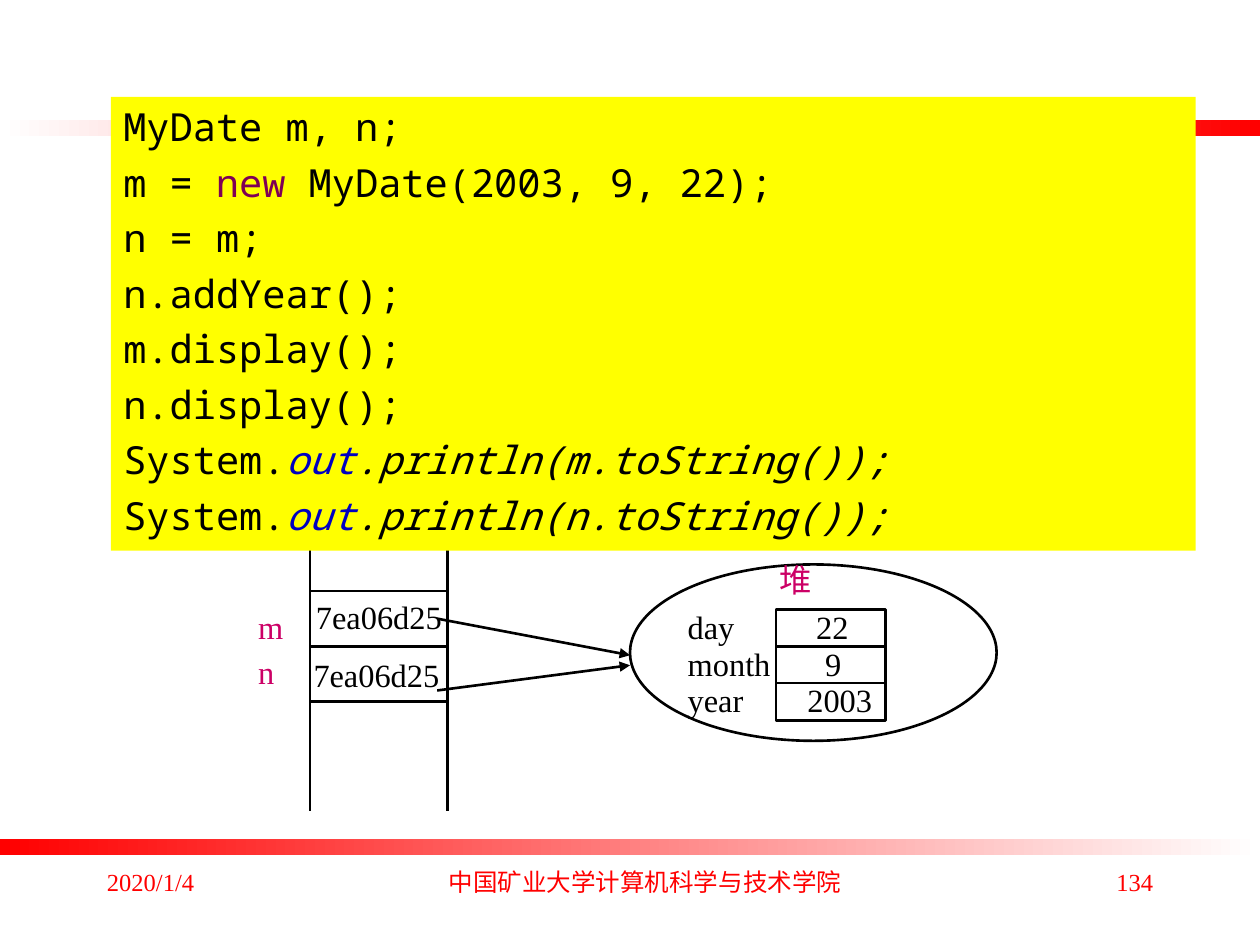
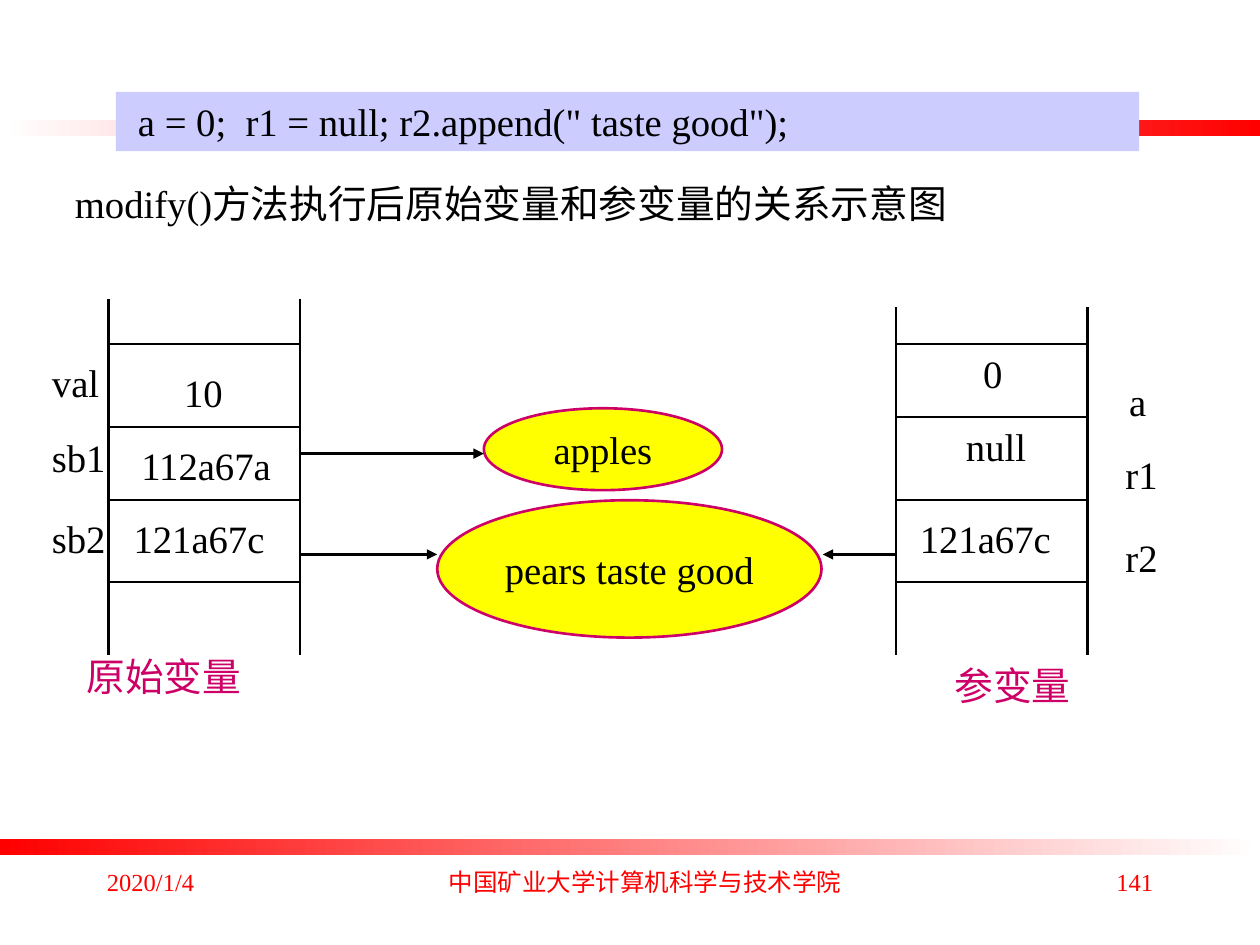
from lxml.etree import SubElement
from pptx import Presentation
from pptx.dml.color import RGBColor
from pptx.enum.shapes import MSO_CONNECTOR as Line, MSO_SHAPE as Shape
from pptx.enum.text import MSO_ANCHOR as Anchor, PP_ALIGN as Align
from pptx.oxml.ns import qn
from pptx.util import Inches, Pt

# Shared style; the grid has 100 columns and 75 rows
COLUMNS, ROWS = 100, 75
WHITE, BLACK, RED = "FFFFFF", "000000", "FF0000"
YELLOW, LILAC, MAGENTA = "FFFF00", "CCCCFF", "CC0066"
KEYWORD, FIELD = "7F0055", "0000C0"
SERIF, MONO, CHINESE = "Times New Roman", "Noto Sans Mono", "Noto Sans CJK SC"
LARGE, MEDIUM, SMALL = 22.1, 18.5, 14


def color(value):
    return RGBColor.from_string(value)


class Page:
    def __init__(self, deck, number):
        self.slide = deck.slides.add_slide(deck.slide_layouts[6])
        self.column = deck.slide_width / COLUMNS
        self.row = deck.slide_height / ROWS
        self.band(9.5, WHITE, RED)
        self.band(66.6, RED, WHITE)
        self.footer(number)

    def place(self, left, top, width, height):
        return (round(left * self.column), round(top * self.row),
                round(width * self.column), round(height * self.row))

    def band(self, top, start, end):
        bar = self.slide.shapes.add_shape(Shape.RECTANGLE, *self.place(0, top, COLUMNS, 1.3))
        bar.shadow.inherit = False
        bar.line.fill.background()
        bar.fill.gradient()
        bar.fill.gradient_angle = 0
        for stop, value in zip(bar.fill.gradient_stops, (start, end)):
            stop.color.rgb = color(value)

    def footer(self, number):
        style = dict(size=SMALL, ink=RED)
        self.label("2020/1/4", 7.5, 68.3, 20.8, 5, **style)
        self.label("中国矿业大学计算机科学与技术学院", 34.2, 68.3, 34, 5,
                   align=Align.CENTER, font=CHINESE, **style)
        self.label(number, 71.7, 68.3, 20.8, 5, align=Align.RIGHT, **style)

    def add_lines(self, box, lines, size=LARGE, ink=BLACK, font=SERIF,
                  align=Align.LEFT, anchor=Anchor.TOP, wrap=True):
        """Each line is a list of (text, ink, italic) spans, or plain text."""
        frame = box.text_frame
        frame.word_wrap = wrap
        frame.vertical_anchor = anchor
        for index, line in enumerate(lines):
            para = frame.add_paragraph() if index else frame.paragraphs[0]
            para.alignment = align
            para.space_before = Pt(5.2 if index else 0)
            for text, tint, italic in [(line, ink, False)] if isinstance(line, str) else line:
                span = para.add_run()
                span.text = text
                span.font.size, span.font.name = Pt(size), font
                span.font.italic = italic
                span.font.color.rgb = color(tint)
                east = SubElement(span.font._element, qn("a:ea"))
                east.set("typeface", CHINESE)

    def label(self, text, left, top, width, height=4.7, **style):
        box = self.slide.shapes.add_textbox(*self.place(left, top, width, height))
        self.add_lines(box, [text], **style)

    def centered(self, text, left, top, width, **style):
        self.label(text, left, top, width, align=Align.CENTER, wrap=False, **style)

    def shape(self, kind, left, top, width, height, fill, edge=None, lines=(), **style):
        box = self.slide.shapes.add_shape(kind, *self.place(left, top, width, height))
        box.shadow.inherit = False
        box.fill.solid()
        box.fill.fore_color.rgb = color(fill)
        if edge:
            box.line.color.rgb = color(edge)
            box.line.width = Pt(1.5)
        else:
            box.line.fill.background()
        self.add_lines(box, lines, **style)

    def line(self, x1, y1, x2, y2, arrow=False):
        link = self.slide.shapes.add_connector(
            Line.STRAIGHT, *self.place(x1, y1, x2, y2))
        link.line.color.rgb = color(BLACK)
        link.line.width = Pt(1.5)
        properties = link._element.spPr
        if arrow:
            SubElement(properties.find(qn("a:ln")), qn("a:tailEnd")).set("type", "triangle")
        SubElement(properties, qn("a:effectLst"))

    def stack(self, left, right, top, bottom, rules):
        for x in (left, right):
            self.line(x, top, x, bottom)
        for y in rules:
            self.line(left, y, right, y)


def build_references(deck):
    page = Page(deck, "134")

    # Stack with two references
    page.stack(24.6, 35.5, 41.9, 64.4, (46.9, 51.3, 55.7))
    for name, name_top, left, top in (("m", 47.7, 24.1, 46.9), ("n", 51.3, 23.9, 51.5)):
        page.label(name, 19.5, name_top, 3.5, 4, size=MEDIUM, ink=MAGENTA)
        page.label("7ea06d25", left, top, 12.3, 4, size=MEDIUM)

    # Object on the heap
    page.shape(Shape.OVAL, 50, 44.8, 29.1, 14, WHITE, BLACK)
    fields = (("day", "22", 63.8), ("month", "9", 64.5), ("year", "2003", 63.1))
    for index, (name, value, left) in enumerate(fields):
        top = 47.7 + 2.9 * index
        page.shape(Shape.RECTANGLE, 61.6, top + 0.7, 8.7, 3, WHITE, BLACK)
        page.label(value, left, top, 8, 3.5, size=MEDIUM)
        page.label(name, 53.6, top, 12.3, 3, size=MEDIUM)
    page.label("堆", 60.9, 44, 9.2, 5, size=MEDIUM, ink=MAGENTA)
    page.line(34.7, 49.1, 50, 52, arrow=True)
    page.line(34.7, 54.8, 50, 52.8, arrow=True)

    # Code
    prints = [[("System.", BLACK, False), ("out", FIELD, True),
               (f".println({name}.toString());", BLACK, True)] for name in "mn"]
    create = [("m = ", BLACK, False), ("new ", KEYWORD, False),
              ("MyDate(2003, 9, 22);", BLACK, False)]
    code = ["MyDate m, n;", create, "n = m;", "n.addYear();",
            "m.display();", "n.display();", *prints]
    page.shape(Shape.RECTANGLE, 8.8, 7.7, 86.1, 36, YELLOW, lines=code, font=MONO)


def build_parameters(deck):
    page = Page(deck, "141")
    page.label("modify()方法执行后原始变量和参变量的关系示意图", 4.97, 13.8, 76)

    # String objects
    for text, *area in (("apples", 38.4, 32.4, 18.9, 6.5),
                        ("pears taste good", 34.7, 39.7, 30.5, 10.9)):
        page.shape(Shape.OVAL, *area, YELLOW, MAGENTA, [text],
                   align=Align.CENTER, anchor=Anchor.MIDDLE, wrap=False)

    # Stacks of parameters and of arguments
    page.stack(71.1, 86.3, 24.4, 52, (27.3, 33.1, 39.7, 46.2))
    page.stack(8.6, 23.8, 23.7, 52, (27.3, 33.9, 39.7, 46.2))
    for x1, x2, y in ((23.8, 38.4, 36), (23.8, 34.7, 44), (71.1, 65.3, 44)):
        page.line(x1, y, x2, y, arrow=True)

    # Names and values
    for text, left, top, width in (
            ("a", 88.6, 29.5, 3.4), ("r1", 88.3, 35.3, 4.6), ("r2", 88.3, 41.9, 4.6),
            ("0", 77, 27.3, 3.6), ("null", 75.6, 33.1, 6.9), ("121a67c", 71.9, 40.4, 12.6),
            ("val", 3.1, 28, 5.8), ("sb1", 3.1, 33.9, 6.3), ("sb2", 3.1, 40.4, 6.3),
            ("10", 13.6, 28.8, 5.1), ("112a67a", 10.1, 34.6, 12.5),
            ("121a67c", 9.5, 40.4, 12.6)):
        page.centered(text, left, top, width)
    page.centered("原始变量", 5.8, 51.3, 14.4, ink=MAGENTA)
    page.centered("参变量", 74.7, 52, 11.3, ink=MAGENTA)

    # Statement bar
    page.shape(Shape.RECTANGLE, 9.2, 7.3, 81.2, 4.7, LILAC,
               lines=[' a = 0;  r1 = null; r2.append(" taste good");'])


def main():
    deck = Presentation()
    deck.slide_width, deck.slide_height = Inches(10), Inches(7.5)
    build_references(deck)
    build_parameters(deck)
    deck.save("out.pptx")


if __name__ == "__main__":
    main()
